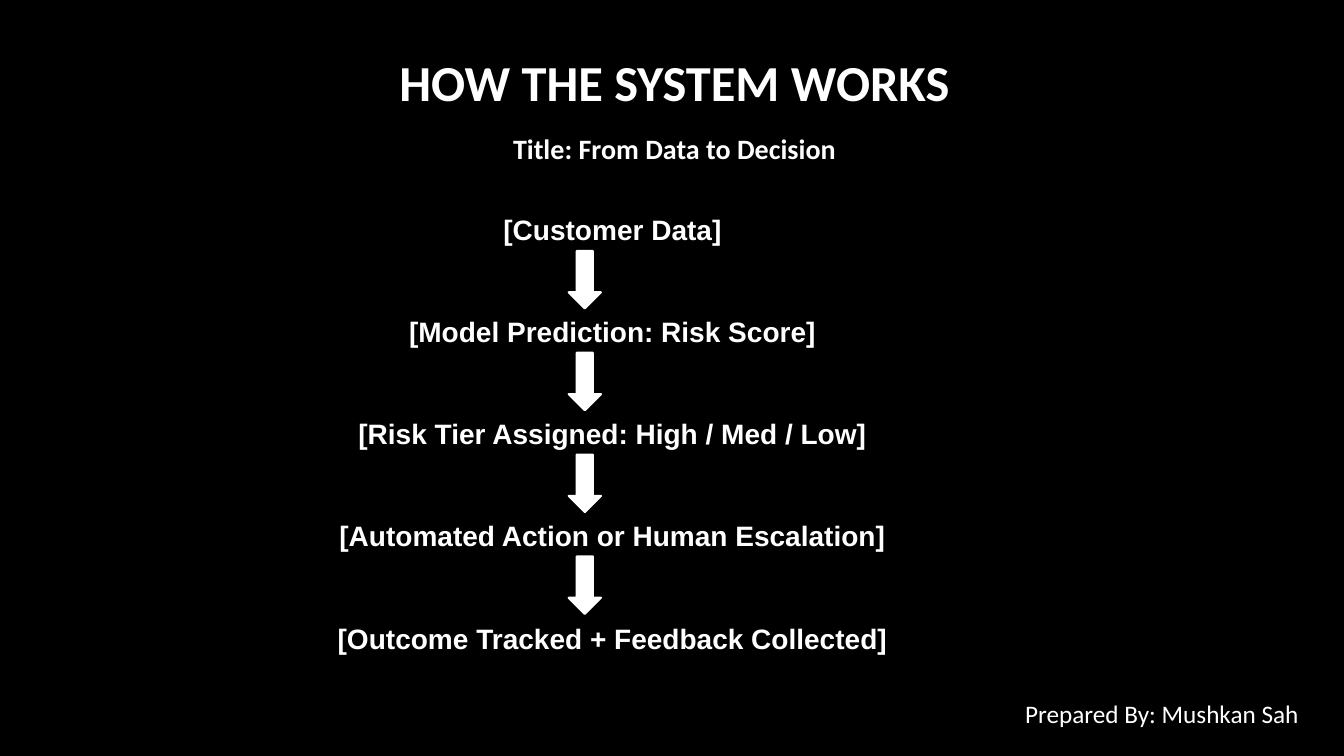
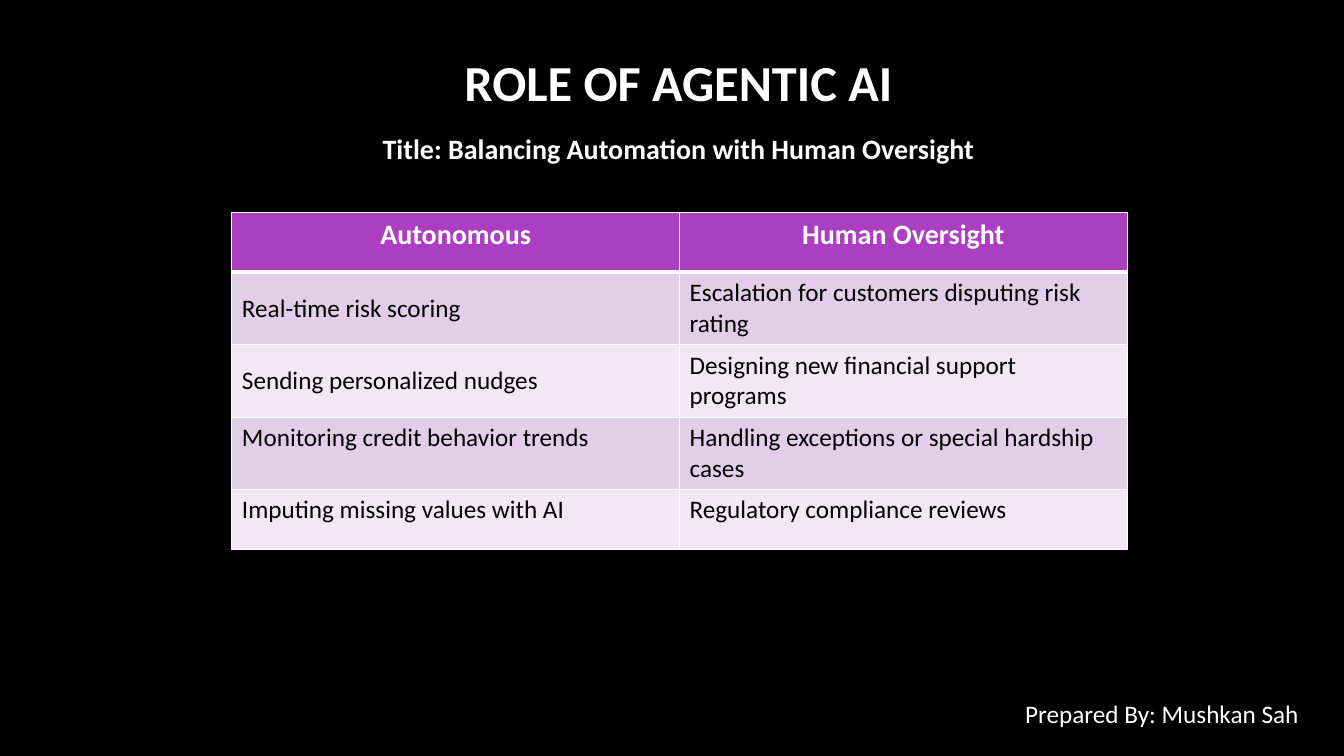
from dataclasses import dataclass

from lxml import etree
from pptx import Presentation
from pptx.dml.color import RGBColor
from pptx.enum.shapes import MSO_SHAPE
from pptx.enum.text import MSO_ANCHOR, PP_ALIGN
from pptx.oxml.ns import qn
from pptx.util import Inches, Pt

DOWN_ARROW = MSO_SHAPE.DOWN_ARROW
CENTER, LEFT = PP_ALIGN.CENTER, PP_ALIGN.LEFT
TOP, MIDDLE, BOTTOM = MSO_ANCHOR.TOP, MSO_ANCHOR.MIDDLE, MSO_ANCHOR.BOTTOM
TITLE_ONLY = 5


@dataclass(frozen=True)
class Theme:
    background: str = "000000"
    light: str = "FFFFFF"
    dark: str = "000000"
    header: str = "AC3EC1"
    bands: tuple = ("E3CEE9", "F1E8F4")
    font: str = "Calibri"
    flow_font: str = "Arial"
    title_size: int = 36
    heading_size: int = 20
    body_size: int = 18
    rule: int = 1
    header_rule: int = 3


THEME = Theme()

FOOTER = "Prepared By: Mushkan Sah"
FLOW = {
    "title": "HOW THE SYSTEM WORKS",
    "subtitle": "Title: From Data to Decision",
    "width": 12.62,
    "steps": [
        "[Customer Data]",
        "[Model Prediction: Risk Score]",
        "[Risk Tier Assigned: High / Med / Low]",
        "[Automated Action or Human Escalation]",
        "[Outcome Tracked + Feedback Collected]",
    ],
}
ROLES = {
    "title": "ROLE OF AGENTIC AI",
    "subtitle": "Title: Balancing Automation with Human Oversight",
    "width": 12.7,
    "rows": [
        ("Autonomous", "Human Oversight"),
        ("Real-time risk scoring", "Escalation for customers disputing risk rating"),
        ("Sending personalized nudges", "Designing new financial support programs"),
        ("Monitoring credit behavior trends", "Handling exceptions or special hardship cases"),
        ("Imputing missing values with AI", "Regulatory compliance reviews"),
    ],
    "heights": [0.59, 0.72, 0.72, 0.72, 0.59],
    "anchors": [TOP, MIDDLE, MIDDLE, TOP, TOP],
}


def color(value):
    return RGBColor.from_string(value)


def style(para, size, bold=False, align=LEFT, ink=THEME.light, font=THEME.font):
    para.alignment = align
    para.font.name = font
    para.font.size = Pt(size)
    para.font.bold = bold
    para.font.color.rgb = color(ink)


def add_text(page, text, left, top, width, height, **look):
    box = page.shapes.add_textbox(Inches(left), Inches(top), Inches(width), Inches(height))
    box.text_frame.word_wrap = True
    box.text_frame.text = text
    for para in box.text_frame.paragraphs:
        style(para, **look)
    return box


def add_page(deck, content):
    """Add a slide with the shared title, subtitle and footer."""
    page = deck.slides.add_slide(deck.slide_layouts[TITLE_ONLY])
    left, width = 0.38, content["width"]
    title = page.shapes.title
    title.left, title.top = Inches(left), Inches(0.41)
    title.width, title.height = Inches(width), Inches(0.75)
    title.text_frame.text = content["title"]
    title.text_frame.vertical_anchor = BOTTOM
    style(title.text_frame.paragraphs[0], THEME.title_size, True, CENTER)
    add_text(page, content["subtitle"], left, 1.26, width, 0.44,
             size=THEME.heading_size, bold=True, align=CENTER)
    add_text(page, FOOTER, 10.07, 6.88, 3.1, 0.4, size=THEME.body_size)
    return page


def add_flow(page, steps):
    box = add_text(page, "\n".join(steps), 0.98, 2.06, 10.19, 4.48,
                   size=THEME.heading_size, bold=True, align=CENTER,
                   font=THEME.flow_font)
    box.text_frame.vertical_anchor = MIDDLE
    for para in box.text_frame.paragraphs[1:]:
        para.space_before = Pt(49)
    for index in range(len(steps) - 1):
        arrow = page.shapes.add_shape(
            DOWN_ARROW, Inches(5.64), Inches(2.49 + 1.01 * index),
            Inches(0.32), Inches(0.57))
        arrow.shadow.inherit = False
        arrow.fill.solid()
        arrow.fill.fore_color.rgb = color(THEME.light)
        arrow.line.color.rgb = color(THEME.light)
        arrow.line.width = Pt(1.5)


def set_borders(cell, top, bottom):
    """Draw the four cell edges; call before the fill, which must follow them."""
    properties = cell._tc.get_or_add_tcPr()
    edges = {"lnL": THEME.rule, "lnR": THEME.rule, "lnT": top, "lnB": bottom}
    for edge, width in edges.items():
        line = etree.SubElement(properties, qn(f"a:{edge}"), w=str(Pt(width)))
        fill = etree.SubElement(line, qn("a:solidFill"))
        etree.SubElement(fill, qn("a:srgbClr"), val=THEME.light)


def add_roles_table(page, rows, heights, anchors):
    table = page.shapes.add_table(
        len(rows), len(rows[0]), Inches(2.3), Inches(2.11),
        Inches(8.88), Inches(sum(heights))).table
    for index, (texts, height, anchor) in enumerate(zip(rows, heights, anchors)):
        table.rows[index].height = Inches(height)
        is_header = index == 0
        fill = THEME.header if is_header else THEME.bands[(index - 1) % 2]
        top = THEME.header_rule if index == 1 else THEME.rule
        bottom = THEME.header_rule if is_header else THEME.rule
        for cell, text in zip(table.rows[index].cells, texts):
            set_borders(cell, top, bottom)
            cell.fill.solid()
            cell.fill.fore_color.rgb = color(fill)
            cell.vertical_anchor = anchor
            cell.text = text
            para = cell.text_frame.paragraphs[0]
            if is_header:
                style(para, THEME.heading_size, True, CENTER)
            else:
                style(para, THEME.body_size, ink=THEME.dark)


def main():
    deck = Presentation()
    deck.slide_width, deck.slide_height = Inches(13.33), Inches(7.5)
    backdrop = deck.slide_master.background.fill
    backdrop.solid()
    backdrop.fore_color.rgb = color(THEME.background)

    add_flow(add_page(deck, FLOW), FLOW["steps"])
    add_roles_table(add_page(deck, ROLES), ROLES["rows"],
                    ROLES["heights"], ROLES["anchors"])
    deck.save("out.pptx")


if __name__ == "__main__":
    main()
